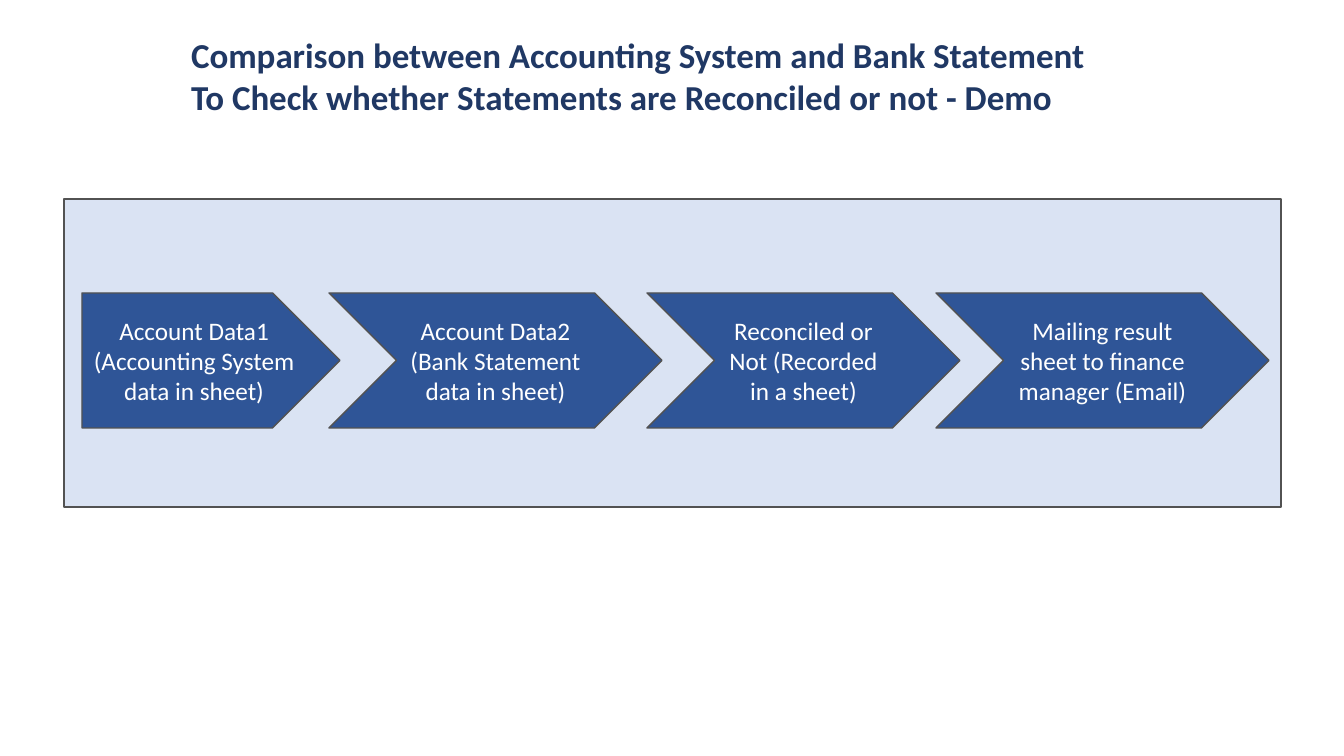
"""Build the bank reconciliation flow slide."""
from dataclasses import dataclass

from pptx import Presentation
from pptx.dml.color import RGBColor
from pptx.enum.shapes import MSO_SHAPE
from pptx.enum.text import MSO_ANCHOR, MSO_AUTO_SIZE, PP_ALIGN
from pptx.shapes.autoshape import Shape
from pptx.slide import Slide
from pptx.text.text import TextFrame
from pptx.util import Emu, Pt

SCALE = 914400 / 100.8
FONT = "Calibri"
NAVY, BLUE, PALE = "203864", "2F5597", "DAE3F3"
GREY, WHITE = "525252", "FFFFFF"
TOP, HIGH = 293, 135


@dataclass(frozen=True)
class Step:
    """One arrow of the flow."""
    left: int
    width: int
    lines: tuple[str, ...]
    kind: MSO_SHAPE = MSO_SHAPE.CHEVRON


STEPS = (
    Step(82, 258, ("Account Data1", "(Accounting System data in sheet)"),
         MSO_SHAPE.PENTAGON),
    Step(329, 333, ("Account Data2", "(Bank Statement data in sheet)")),
    Step(647, 313, ("Reconciled or Not (Recorded in a sheet)",)),
    Step(936, 333, ("Mailing result sheet to finance manager (Email)",)),
)


def px(size: int) -> Emu:
    """Turn pixels into EMU."""
    return Emu(round(size * SCALE))


def color(code: str) -> RGBColor:
    """Turn a hex string into a colour."""
    return RGBColor.from_string(code)


def write(frame: TextFrame, lines: tuple[str, ...], size: int, tint: str,
          align: PP_ALIGN, bold: bool = False) -> None:
    """Fill a text frame with one paragraph per line."""
    frame.word_wrap = True
    frame.vertical_anchor = MSO_ANCHOR.MIDDLE
    for spot, line in enumerate(lines):
        para = frame.add_paragraph() if spot else frame.paragraphs[0]
        para.alignment = align
        run = para.add_run()
        run.text = line
        run.font.name = FONT
        run.font.size = Pt(size)
        run.font.bold = bold
        run.font.color.rgb = color(tint)


def draw(slide: Slide, kind: MSO_SHAPE, left: int, top: int, width: int,
         height: int, fill: str) -> Shape:
    """Add a filled shape with a thin grey outline."""
    shape = slide.shapes.add_shape(kind, px(left), px(top), px(width), px(height))
    shape.shadow.inherit = False
    shape.fill.solid()
    shape.fill.fore_color.rgb = color(fill)
    shape.line.color.rgb = color(GREY)
    shape.line.width = Pt(1)
    return shape


def head(slide: Slide, text: str) -> None:
    """Place and fill the title."""
    title = slide.shapes.title
    title.left, title.top = px(181), px(28)
    title.width, title.height = px(945), px(95)
    write(title.text_frame, (text,), 25, NAVY, PP_ALIGN.LEFT, True)
    title.text_frame.vertical_anchor = MSO_ANCHOR.TOP
    title.text_frame.auto_size = MSO_AUTO_SIZE.SHAPE_TO_FIT_TEXT


def main() -> None:
    """Build and save the deck."""
    deck = Presentation()
    deck.slide_width, deck.slide_height = px(1344), px(756)
    slide = deck.slides.add_slide(deck.slide_layouts.get_by_name("Title Only"))
    head(slide, "Comparison between Accounting System and Bank Statement "
                "To Check whether Statements are Reconciled or not - Demo")
    draw(slide, MSO_SHAPE.RECTANGLE, 64, 199, 1217, 308, PALE)
    for step in STEPS:
        shape = draw(slide, step.kind, step.left, TOP, step.width, HIGH, BLUE)
        write(shape.text_frame, step.lines, 18, WHITE, PP_ALIGN.CENTER)
    deck.save("out.pptx")


main()
